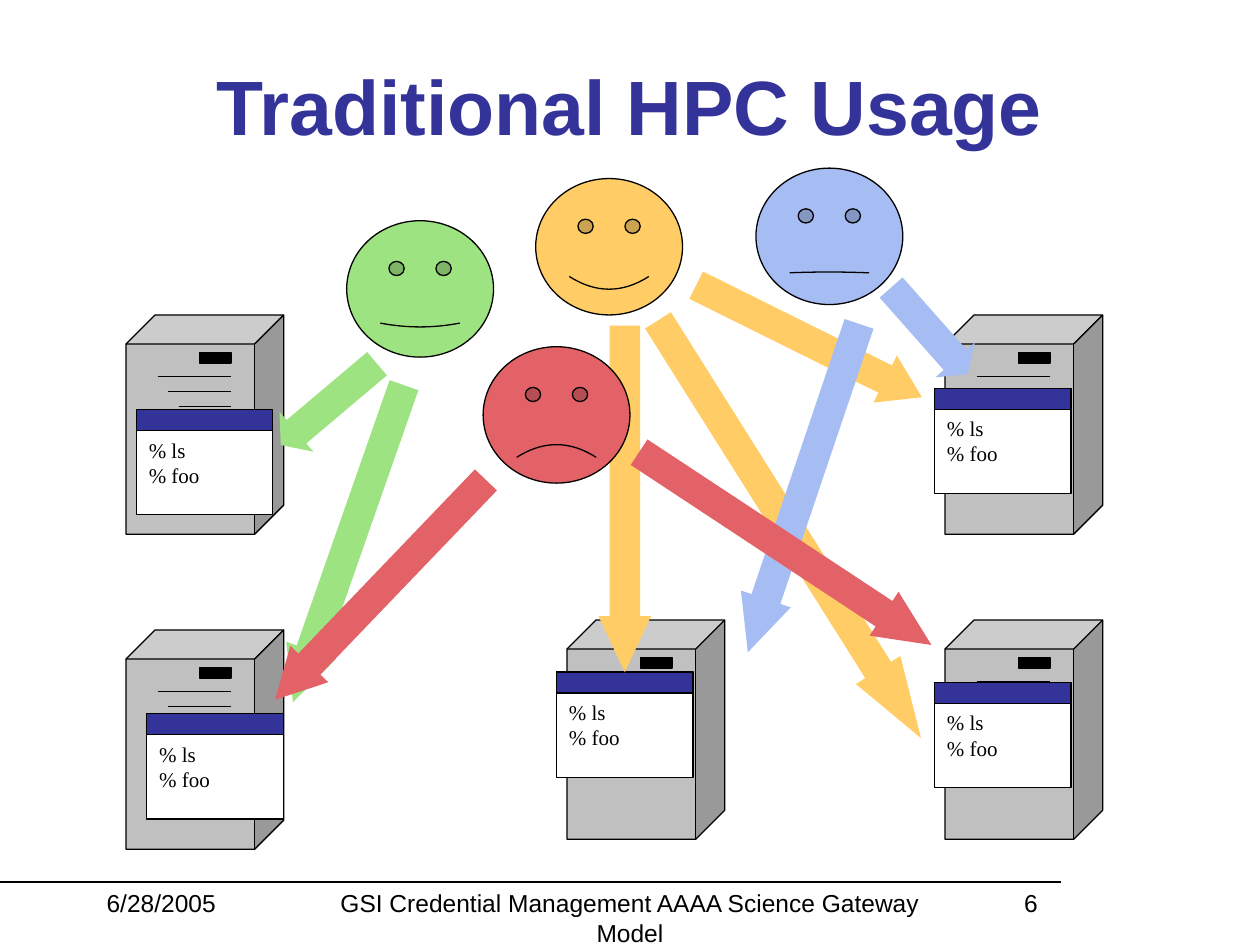
import pptx
import pptx.util
import pptx.dml.color
import pptx.enum.shapes
import pptx.enum.text
import pptx.oxml.ns
from lxml import etree

Cm = pptx.util.Cm
Pt = pptx.util.Pt
RGBColor = pptx.dml.color.RGBColor
SHAPE = pptx.enum.shapes.MSO_SHAPE
ALIGN = pptx.enum.text.PP_ALIGN
MIDDLE = pptx.enum.text.MSO_ANCHOR.MIDDLE

COLORS = {
    "black": "000000",
    "white": "FFFFFF",
    "navy": "333399",
    "gray": "C0C0C0",
    "yellow": "FFCC66",
    "green": "9EE381",
    "blue": "A6BDF4",
    "red": "E36267",
}


def add_block(shapes, kind, left, top, width, height, color, outlined=True):
    shape = shapes.add_shape(kind, Cm(left), Cm(top), Cm(width), Cm(height))
    shape.shadow.inherit = False
    shape.fill.solid()
    shape.fill.fore_color.rgb = RGBColor.from_string(COLORS[color])
    if outlined:
        shape.line.color.rgb = RGBColor.from_string(COLORS["black"])
        shape.line.width = Pt(0.75)
    else:
        shape.line.fill.background()
    return shape


def add_rule(shapes, left, right, top):
    connector = shapes.add_connector(
        pptx.enum.shapes.MSO_CONNECTOR.STRAIGHT, Cm(left), Cm(top), Cm(right), Cm(top)
    )
    connector.line.color.rgb = RGBColor.from_string(COLORS["black"])
    connector.line.width = Pt(0.75)
    etree.SubElement(connector._element.spPr, pptx.oxml.ns.qn("a:effectLst"))


presentation = pptx.Presentation()
presentation.slide_width = Cm(25.4)
presentation.slide_height = Cm(19.05)
slide = presentation.slides.add_slide(presentation.slide_layouts[5])

title = slide.shapes.title
title.left, title.top, title.width, title.height = Cm(0), Cm(1.06), Cm(25.4), Cm(2.12)
title.text_frame.text = "Traditional HPC Usage"
title.text_frame.vertical_anchor = MIDDLE
title.text_frame.paragraphs[0].alignment = ALIGN.CENTER
title_font = title.text_frame.paragraphs[0].runs[0].font
title_font.name = "Arial"
title_font.size = Pt(44)
title_font.bold = True
title_font.color.rgb = RGBColor.from_string(COLORS["navy"])

add_rule(slide.shapes, 0, 21.39, 17.78)

servers = [
    (11.43, 12.5, 0),
    (19.05, 12.5, 1),
    (19.05, 6.35, 1),
    (2.54, 12.7, 2),
    (2.54, 6.35, 3),
]
for left, top, vent_count in servers:
    server = slide.shapes.add_group_shape().shapes
    cube = add_block(server, SHAPE.CUBE, left, top, 3.18, 4.42, "gray")
    cube.adjustments[0] = 0.184
    for vent in range(vent_count):
        add_rule(server, left + 0.64 + 0.21 * vent, left + 2.12, top + 1.24 + 0.3 * vent)
    add_block(server, SHAPE.RECTANGLE, left + 1.48, top + 0.76, 0.64, 0.21, "black")

windows = [(11.22, 13.55), (18.84, 13.76), (18.84, 7.83), (2.96, 14.39), (2.75, 8.26)]
for left, top in windows:
    window = slide.shapes.add_group_shape().shapes
    screen = add_block(window, SHAPE.RECTANGLE, left, top, 2.75, 2.12, "white")
    screen.text_frame.text = "% ls\n% foo"
    screen.text_frame.vertical_anchor = MIDDLE
    screen.text_frame.word_wrap = True
    for paragraph in screen.text_frame.paragraphs:
        paragraph.alignment = ALIGN.LEFT
        font = paragraph.runs[0].font
        font.name = "Times New Roman"
        font.size = Pt(12)
        font.color.rgb = RGBColor.from_string(COLORS["black"])
    add_block(window, SHAPE.RECTANGLE, left, top, 2.75, 0.42, "navy")

arrows = [
    (9.1, 9.53, 6.99, 90, 1.07, "yellow"),
    (10.94, 10.14, 9.95, 57.8, 1.53, "yellow"),
    (13.77, 6.35, 5.08, 26.4, 0.78, "yellow"),
    (12.3, 10.53, 7.06, 33.4, 1.08, "red"),
    (12.7, 9.31, 6.99, 108.7, 1.07, "blue"),
    (17.57, 6.14, 2.33, 48.5, 0.36, "blue"),
    (4.6, 11.36, 6.14, 133.8, 0.94, "red"),
    (5.36, 7.62, 2.54, 139.8, 0.39, "green"),
    (3.64, 10.43, 6.77, 109.3, 1.04, "green"),
]
users = [
    (10.8, 3.6, 0.093, "yellow"),
    (6.99, 4.45, 0.014, "green"),
    (15.24, 3.39, -0.003, "blue"),
    (9.74, 6.99, -0.047, "red"),
]
for user_left, user_top, smile, color in users:
    face = add_block(slide.shapes, SHAPE.SMILEY_FACE, user_left, user_top, 2.96, 2.75, color)
    face.adjustments[0] = smile
    for left, top, length, rotation, head, arrow_color in arrows:
        if arrow_color == color:
            arrow = add_block(
                slide.shapes, SHAPE.RIGHT_ARROW, left, top, length, 1.06, color, outlined=False
            )
            arrow.adjustments[0] = 0.58
            arrow.adjustments[1] = head
            arrow.rotation = rotation

footers = [
    (1.9, 3.81, "6/28/2005", ALIGN.LEFT),
    (6.35, 12.7, "GSI Credential Management AAAA Science Gateway Model", ALIGN.CENTER),
    (19.69, 1.48, "6", ALIGN.RIGHT),
]
for left, width, text, alignment in footers:
    footer = slide.shapes.add_textbox(Cm(left), Cm(17.78), Cm(width), Cm(0.84))
    footer.text_frame.word_wrap = True
    footer.text_frame.text = text
    paragraph = footer.text_frame.paragraphs[0]
    paragraph.alignment = alignment
    font = paragraph.runs[0].font
    font.name = "Arial"
    font.size = Pt(14)
    font.color.rgb = RGBColor.from_string(COLORS["black"])

presentation.save("out.pptx")
